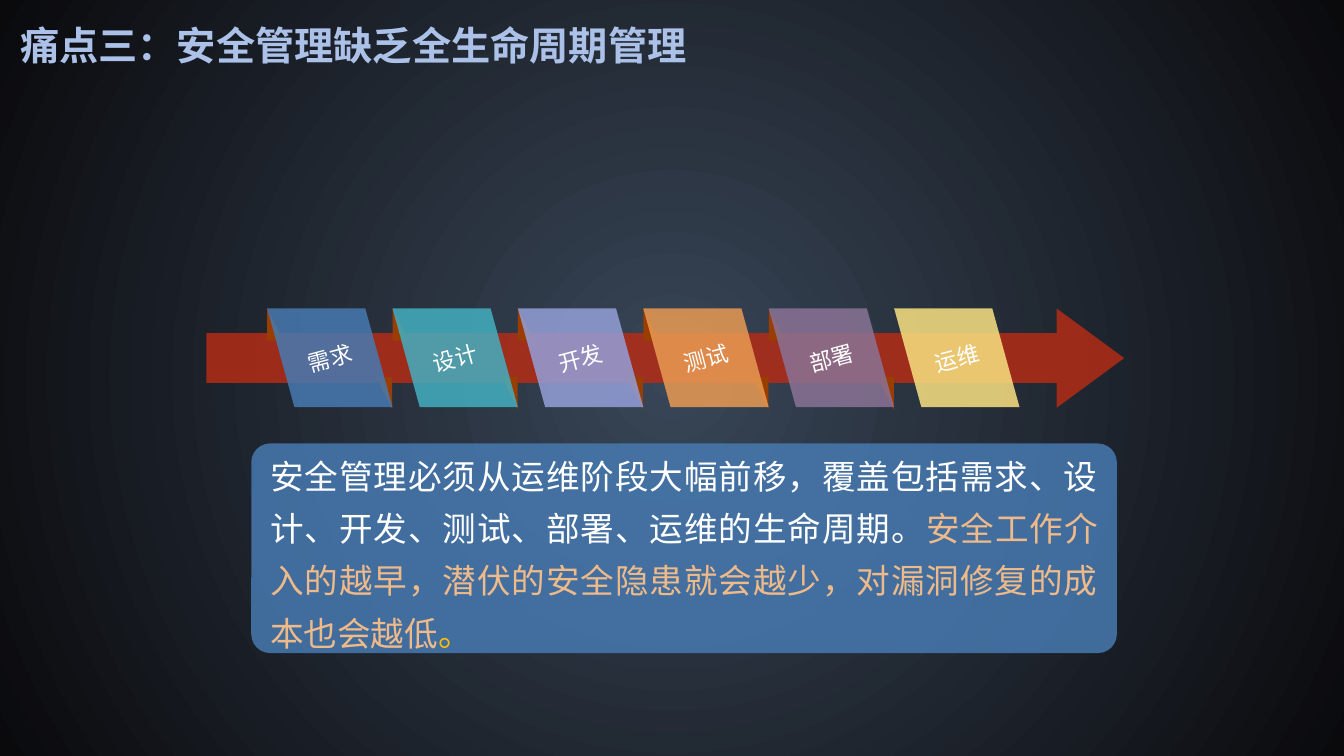
"""Builds a slide on security management across the whole software life cycle."""
import math

from lxml import etree
from pptx import Presentation
from pptx import util as u
from pptx.dml.color import RGBColor
from pptx.enum import shapes, text
from pptx.oxml.ns import qn

FONT = "Noto Sans CJK SC"
WHITE = RGBColor(0xFF, 0xFF, 0xFF)
GLOW = RGBColor(0x38, 0x46, 0x57)
NIGHT = RGBColor(0x0A, 0x0A, 0x0D)
HEADING = RGBColor(0xAC, 0xC1, 0xE8)
RED = RGBColor(0xB3, 0x2C, 0x16)
FOLD = RGBColor(0x9A, 0x3D, 0x01)
BLUE = RGBColor(0x47, 0x7A, 0xB1)
TEAL = RGBColor(0x43, 0xAF, 0xC0)
LAVENDER = RGBColor(0x94, 0x9F, 0xD8)
ORANGE = RGBColor(0xE8, 0x9A, 0x53)
PLUM = RGBColor(0x8B, 0x73, 0x96)
YELLOW = RGBColor(0xF9, 0xE1, 0x81)
PEACH = RGBColor(0xEF, 0xBA, 0x8A)
GOLD = RGBColor(0xFF, 0xC0, 0x00)

STAGES = [("需求", BLUE), ("设计", TEAL), ("开发", LAVENDER),
          ("测试", ORANGE), ("部署", PLUM), ("运维", YELLOW)]
MESSAGE = [
    ("安全管理必须从运维阶段大幅前移，覆盖包括需求、设计、开发、测试、部署、运维的生命周期。", WHITE),
    ("安全工作介入的越早，潜伏的安全隐患就会越少，对漏洞修复的成本也会越低", PEACH),
    ("。", GOLD),
]
PITCH, TOP_EDGE, SLANT, RIBBON_HEIGHT = 9.33, 7.3, 2.03, 7.35
TILT = 15


class Deck:
    """Holds the style and the current slide, on a square grid of 100 columns."""

    def __init__(self):
        self.presentation = Presentation()
        self.presentation.slide_width = u.Inches(10)
        self.presentation.slide_height = self.presentation.slide_width * 9 // 16
        self.cell = self.presentation.slide_width / 100
        self.slide = self.presentation.slides.add_slide(self.presentation.slide_layouts[5])

    def grid(self, *cells):
        return [u.Emu(round(cell * self.cell)) for cell in cells]

    def background(self, inner, outer):
        fill = self.slide.background.fill
        fill.gradient()
        for stop, color, position in zip(fill.gradient_stops, (inner, outer), (0, 1)):
            stop.color.rgb = color
            stop.position = position
        gradient = self.slide.element.find(".//" + qn("a:gradFill"))
        gradient.remove(gradient.find(qn("a:lin")))
        circle = etree.SubElement(gradient, qn("a:path"), {"path": "circle"})
        etree.SubElement(circle, qn("a:fillToRect"), dict.fromkeys("ltrb", "50000"))

    def style(self, paragraph, size, color=None, bold=False):
        font = paragraph.font
        font.size, font.bold, font.name = u.Pt(size), bold, FONT
        if color is not None:
            font.color.rgb = color
        etree.SubElement(font._element, qn("a:ea"), {"typeface": FONT})

    def paint(self, shape, color, opacity=100):
        shape.shadow.inherit = False
        shape.line.fill.background()
        shape.fill.solid()
        shape.fill.fore_color.rgb = color
        if opacity < 100:
            tint = shape._element.spPr.find(".//" + qn("a:srgbClr"))
            etree.SubElement(tint, qn("a:alpha"), {"val": str(opacity * 1000)})

    def title(self, wording, *place):
        heading = self.slide.shapes.title
        heading.left, heading.top, heading.width, heading.height = self.grid(*place)
        frame = heading.text_frame
        frame.margin_left = frame.margin_right = u.Inches(0.07)
        frame.margin_top = frame.margin_bottom = u.Inches(0.04)
        frame.vertical_anchor = text.MSO_ANCHOR.TOP
        frame.text = wording
        frame.paragraphs[0].alignment = text.PP_ALIGN.LEFT
        self.style(frame.paragraphs[0], 21, HEADING, bold=True)

    def preset(self, kind, place, color, opacity=100, adjustments=(), parent=None):
        shape = (parent or self.slide).shapes.add_shape(kind, *self.grid(*place))
        for index, value in enumerate(adjustments):
            shape.adjustments[index] = value
        self.paint(shape, color, opacity)
        return shape

    def ribbon(self, label, color, left, top, folded):
        ribbon = self.slide.shapes.add_group_shape() if folded else self.slide
        if folded:
            for x, y, turn in ((left + 8.1, top + 5.1, 180), (left, top, 0)):
                fold = self.preset(shapes.MSO_SHAPE.RIGHT_TRIANGLE, (x, y, 1.2, 2.4),
                                   FOLD, parent=ribbon)
                fold.rotation = turn
        middle_x = left + (TOP_EDGE + SLANT) / 2
        middle_y = top + RIBBON_HEIGHT / 2
        corners = [(left + TOP_EDGE, top), (left + TOP_EDGE + SLANT, top + RIBBON_HEIGHT),
                   (left + SLANT, top + RIBBON_HEIGHT), (left, top)]
        cos, sin = math.cos(math.radians(TILT)), math.sin(math.radians(TILT))
        upright = [self.grid(middle_x + (x - middle_x) * cos - (y - middle_y) * sin,
                             middle_y + (x - middle_x) * sin + (y - middle_y) * cos)
                   for x, y in corners]
        builder = ribbon.shapes.build_freeform(*upright[0])
        builder.add_line_segments(upright[1:], close=True)
        face = builder.convert_to_shape()
        face.rotation = 360 - TILT
        self.paint(face, color, 85)
        face.text_frame.text = label
        face.text_frame.vertical_anchor = text.MSO_ANCHOR.MIDDLE
        paragraph = face.text_frame.paragraphs[0]
        paragraph.alignment = text.PP_ALIGN.CENTER
        self.style(paragraph, 12, WHITE)

    def panel(self, message, *place):
        panel = self.preset(shapes.MSO_SHAPE.ROUNDED_RECTANGLE, place, BLUE, 85, [0.09])
        panel.text_frame.word_wrap = True
        panel.text_frame.vertical_anchor = text.MSO_ANCHOR.MIDDLE
        paragraph = panel.text_frame.paragraphs[0]
        paragraph.alignment = text.PP_ALIGN.JUSTIFY
        paragraph.line_spacing = 1.3
        paragraph.space_after = u.Pt(4.5)
        self.style(paragraph, 18)
        for wording, color in message:
            run = paragraph.add_run()
            run.text = wording
            run.font.color.rgb = color


def main():
    deck = Deck()
    deck.background(GLOW, NIGHT)
    deck.title("痛点三：安全管理缺乏全生命周期管理", 0.8, 1.2, 90, 6.4)
    deck.preset(shapes.MSO_SHAPE.RIGHT_ARROW, (15.35, 22.95, 68.3, 7.4), RED, 85, [0.5, 0.68])
    for index, (label, color) in enumerate(STAGES):
        deck.ribbon(label, color, 19.88 + index * PITCH, 22.95, index < len(STAGES) - 1)
    deck.panel(MESSAGE, 18.7, 33, 64.4, 15.6)
    deck.presentation.save("out.pptx")


if __name__ == "__main__":
    main()
